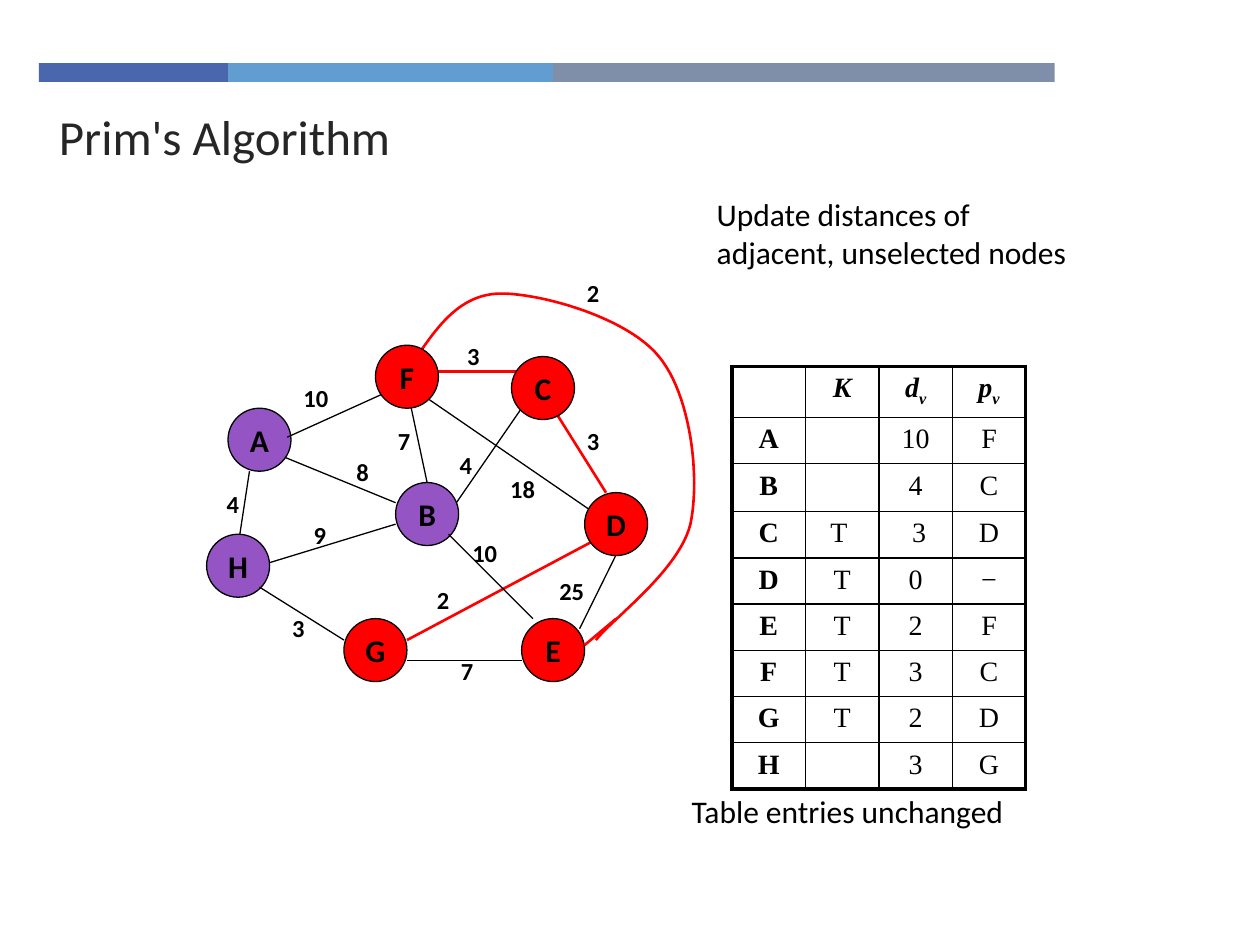
from lxml.etree import SubElement
from pptx import Presentation
from pptx.dml.color import RGBColor
from pptx.enum.shapes import MSO_CONNECTOR, MSO_SHAPE
from pptx.enum.text import MSO_ANCHOR, MSO_AUTO_SIZE, PP_ALIGN
from pptx.oxml.ns import qn
from pptx.util import Inches, Pt

BLACK = RGBColor(0x00, 0x00, 0x00)
RED = RGBColor(0xFF, 0x00, 0x00)
PURPLE = RGBColor(0x94, 0x54, 0xC3)
TITLE_GRAY = RGBColor(0x26, 0x26, 0x26)
BANDS = [
    (0.31, 1.5, RGBColor(0x4A, 0x66, 0xAC)),
    (1.81, 2.58, RGBColor(0x62, 0x9D, 0xD1)),
    (4.39, 3.98, RGBColor(0x7F, 0x8F, 0xA9)),
]
SANS, SERIF = "Calibri", "Times New Roman"
NODE_SIZE = 0.5

NODES = [
    ("A", 1.81, 3.24, PURPLE), ("H", 1.64, 4.24, PURPLE),
    ("B", 3.14, 3.83, PURPLE), ("F", 2.98, 2.74, RED),
    ("E", 4.14, 4.91, RED), ("D", 4.64, 3.91, RED),
    ("C", 4.06, 2.83, RED), ("G", 2.73, 4.91, RED),
]
EDGES_BEHIND = [
    (5.01, 4.16, 4.6, 4.99, BLACK), (3.23, 3.08, 3.39, 3.83, BLACK),
    (3.56, 4.08, 4.14, 3.24, BLACK), (4.73, 4.08, 3.39, 3.16, BLACK),
    (2.06, 4.49, 3.14, 4.16, BLACK), (3.23, 5.08, 4.81, 4.24, RED),
    (1.89, 4.33, 1.98, 3.74, BLACK), (2.14, 3.58, 3.14, 3.99, BLACK),
    (3.44, 2.95, 4.23, 2.95, RED), (4.39, 3.24, 4.81, 3.91, RED),
]
EDGES_FRONT = [
    (3.56, 4.24, 4.23, 4.91, BLACK), (4.14, 5.24, 3.23, 5.24, BLACK),
    (2.73, 5.08, 2.06, 4.66, BLACK), (2.28, 3.47, 3.03, 3.13, BLACK),
    (4.89, 4.91, 4.64, 5.12, RED),
]
CURVE_START = (3.31, 2.83)
CURVE_SEGMENTS = [
    ((3.48, 2.58), (3.66, 2.33), (3.98, 2.33)),
    ((4.3, 2.33), (4.98, 2.52), (5.23, 2.83)),
    ((5.48, 3.13), (5.56, 3.78), (5.48, 4.16)),
    ((5.39, 4.53), (4.85, 4.92), (4.73, 5.08)),
]
WEIGHTS = [
    ("4", 1.7, 3.83), ("25", 4.34, 4.52), ("7", 3.56, 5.16),
    ("2", 3.37, 4.59), ("10", 3.65, 4.22), ("18", 3.95, 3.71),
    ("3", 4.56, 3.33), ("4", 3.55, 3.52), ("3", 3.61, 2.66),
    ("7", 3.06, 3.33), ("8", 2.73, 3.58), ("9", 2.39, 4.08),
    ("3", 2.22, 4.82), ("10", 2.31, 2.99), ("2", 4.56, 2.16),
]
ROWS = [
    ("", "K", "dv", "pv"),
    ("A", "", "10", "F"),
    ("B", "", "4", "C"),
    ("C", "T ", " 3", "D"),
    ("D", "T", "0", "−"),
    ("E", "T", "2", "F"),
    ("F", "T", "3", "C"),
    ("G", "T", "2", "D"),
    ("H", "", "3", "G"),
]
ROW_HEIGHTS = [0.4, 0.36, 0.38] + [0.36] * 6
COLUMN_WIDTH = 0.583


def add_run(paragraph, text, size, bold=False, italic=False, color=BLACK, font=SANS):
    run = paragraph.add_run()
    run.text = text
    run.font.size = Pt(size)
    run.font.name = font
    run.font.bold = bold
    run.font.italic = italic
    run.font.color.rgb = color
    return run


def add_text(slide, text, left, top, width, height, size, bold=False, color=BLACK):
    box = slide.shapes.add_textbox(*map(Inches, (left, top, width, height)))
    box.text_frame.word_wrap = True
    box.text_frame.auto_size = MSO_AUTO_SIZE.SHAPE_TO_FIT_TEXT
    add_run(box.text_frame.paragraphs[0], text, size, bold, color=color)


def add_filled_shape(slide, kind, left, top, width, height, color):
    shape = slide.shapes.add_shape(kind, *map(Inches, (left, top, width, height)))
    shape.shadow.inherit = False
    shape.fill.solid()
    shape.fill.fore_color.rgb = color
    shape.line.fill.background()
    return shape


def add_node(slide, name, left, top, color):
    node = add_filled_shape(slide, MSO_SHAPE.OVAL, left, top, NODE_SIZE, NODE_SIZE, color)
    style_line(node.line, BLACK)
    frame = node.text_frame
    frame.word_wrap = False
    frame.vertical_anchor = MSO_ANCHOR.MIDDLE
    frame.paragraphs[0].alignment = PP_ALIGN.CENTER
    add_run(frame.paragraphs[0], name, 18, bold=True)


def style_line(line, color):
    line.color.rgb = color
    line.width = Pt(1.5 if color == RED else 0.75)


def add_edge(slide, x1, y1, x2, y2, color):
    edge = slide.shapes.add_connector(
        MSO_CONNECTOR.STRAIGHT, *map(Inches, (x1, y1, x2, y2)))
    style_line(edge.line, color)
    SubElement(edge._element.spPr, qn("a:effectLst"))


def bezier_point(points, t):
    weights = ((1 - t) ** 3, 3 * t * (1 - t) ** 2, 3 * t * t * (1 - t), t ** 3)
    return tuple(Inches(sum(w * p[axis] for w, p in zip(weights, points)))
                 for axis in (0, 1))


def add_curve(slide, start, segments, steps=24):
    builder = slide.shapes.build_freeform(*map(Inches, start))
    for segment in segments:
        points = (start, *segment)
        builder.add_line_segments(
            [bezier_point(points, step / steps) for step in range(1, steps + 1)],
            close=False)
        start = segment[-1]
    curve = builder.convert_to_shape()
    curve.shadow.inherit = False
    curve.fill.background()
    style_line(curve.line, RED)


def set_borders(cell, widths):
    properties = cell._tc.get_or_add_tcPr()
    for side, width in zip("LRTB", widths):
        line = SubElement(properties, qn(f"a:ln{side}"), w=str(Pt(width)))
        fill = SubElement(line, qn("a:solidFill"))
        SubElement(fill, qn("a:srgbClr"), val=str(BLACK))


def fill_cell(cell, text, is_header, is_name):
    paragraph = cell.text_frame.paragraphs[0]
    paragraph.alignment = PP_ALIGN.CENTER
    if not text:
        SubElement(paragraph._p, qn("a:endParaRPr"), sz="1600")
        return
    parts = list(text) if is_header else [text]
    for index, part in enumerate(parts):
        run = add_run(paragraph, part, 16, is_header or is_name, is_header, font=SERIF)
        if index:
            run.font._element.set("baseline", "-25000")


def add_distance_table(slide):
    row_count, column_count = len(ROWS), len(ROWS[0])
    frame = slide.shapes.add_table(
        row_count, column_count, Inches(5.81), Inches(2.91),
        Inches(COLUMN_WIDTH * column_count), Inches(sum(ROW_HEIGHTS)))
    table = frame.table
    table.first_row = table.horz_banding = False
    for column in table.columns:
        column.width = Inches(COLUMN_WIDTH)
    for r, (values, height) in enumerate(zip(ROWS, ROW_HEIGHTS)):
        table.rows[r].height = Inches(height)
        for c, value in enumerate(values):
            cell = table.cell(r, c)
            outer = (c == 0, c == column_count - 1, r == 0, r == row_count - 1)
            set_borders(cell, [2.25 if edge else 1 for edge in outer])
            cell.fill.background()
            fill_cell(cell, value, r == 0, c == 0)


def main():
    presentation = Presentation()
    presentation.slide_width, presentation.slide_height = Inches(10), Inches(7.5)
    slide = presentation.slides.add_slide(presentation.slide_layouts[6])
    for left, width, color in BANDS:
        add_filled_shape(slide, MSO_SHAPE.RECTANGLE, left, 0.5, width, 0.15, color)
    add_text(slide, "Prim's Algorithm", 0.37, 0.8, 7.16, 0.54, 28, color=TITLE_GRAY)
    add_curve(slide, CURVE_START, CURVE_SEGMENTS)
    for edge in EDGES_BEHIND:
        add_edge(slide, *edge)
    for node in NODES:
        add_node(slide, *node)
    for edge in EDGES_FRONT:
        add_edge(slide, *edge)
    for text, left, top in WEIGHTS:
        add_text(slide, text, left, top, 0.33 if len(text) == 1 else 0.52, 0.33, 14, bold=True)
    add_text(slide, "Update distances of adjacent, unselected nodes", 5.59, 1.5, 3.17, 0.77, 18)
    add_distance_table(slide)
    add_text(slide, "Table entries unchanged", 5.39, 6.24, 3.08, 0.43, 18)
    presentation.save("out.pptx")


if __name__ == "__main__":
    main()
